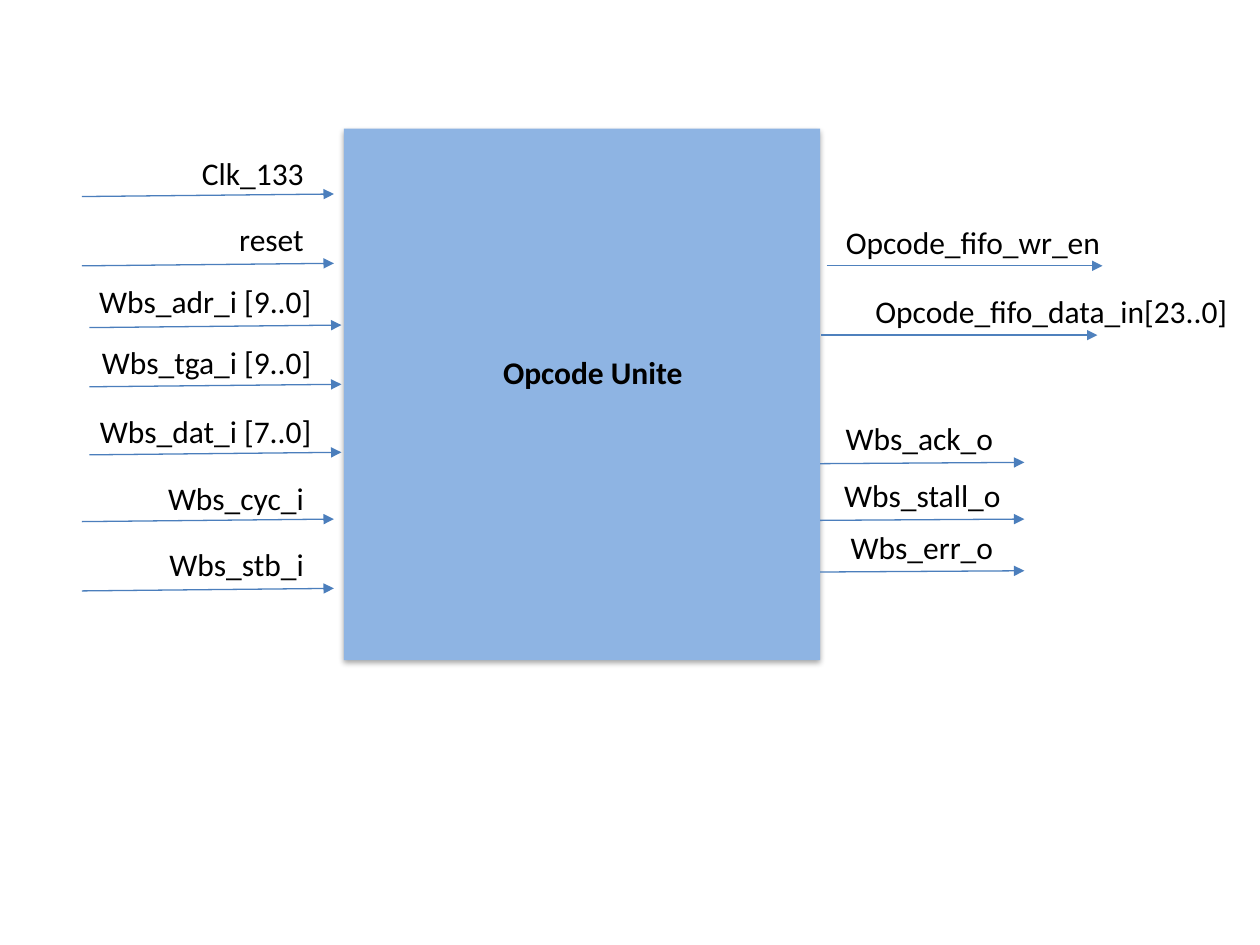
from dataclasses import dataclass

from lxml.etree import SubElement
from pptx import Presentation
from pptx.dml.color import RGBColor
from pptx.enum.shapes import MSO_CONNECTOR as Connector, MSO_SHAPE as Shape
from pptx.enum.text import MSO_AUTO_SIZE as AutoSize, PP_ALIGN as Align
from pptx.oxml.ns import qn
from pptx.util import Inches, Pt


@dataclass(frozen=True)
class Theme:
    """Colours, font and sizes of the diagram."""
    block: str = "8EB4E3"
    input_line: str = "4B7EBC"
    fifo_line: str = "4F81BD"
    text: str = "000000"
    font: str = "Calibri"
    size: float = 18
    line_width: float = 0.75


class Diagram:
    """Draws the elements of a block diagram on one slide."""

    def __init__(self, slide, theme):
        """Keep the theme and open a group for the diagram."""
        self.theme = theme
        self.shapes = slide.shapes.add_group_shape().shapes

    def block(self, left, top, width, height):
        """Add a filled rectangle with a soft shadow below it."""
        shape = self.shapes.add_shape(Shape.RECTANGLE, *map(Inches, (left, top, width, height)))
        shape.fill.solid()
        shape.fill.fore_color.rgb = RGBColor.from_string(self.theme.block)
        shape.line.fill.background()
        effects = SubElement(shape._element.spPr, qn("a:effectLst"))
        shadow = SubElement(effects, qn("a:outerShdw"), blurRad=str(Pt(3.1)),
                            dist=str(Pt(1.8)), dir="5400000", rotWithShape="0")
        color = SubElement(shadow, qn("a:srgbClr"), val="000000")
        SubElement(color, qn("a:alpha"), val="35000")

    def label(self, text, left, top, width, align=Align.RIGHT, bold=False):
        """Add one line of text."""
        box = self.shapes.add_textbox(*map(Inches, (left, top, width, 0.4)))
        frame = box.text_frame
        frame.word_wrap = True
        frame.auto_size = AutoSize.SHAPE_TO_FIT_TEXT
        paragraph = frame.paragraphs[0]
        paragraph.alignment = align
        run = paragraph.add_run()
        run.text = text
        font_format = {"name": self.theme.font, "size": Pt(self.theme.size), "bold": bold}
        for name, value in font_format.items():
            setattr(run.font, name, value)
        run.font.color.rgb = RGBColor.from_string(self.theme.text)

    def arrow(self, left, top, length, rise, color):
        """Add an arrow to the right that rises a little."""
        ends = map(Inches, (left, top, left + length, top - rise))
        connector = self.shapes.add_connector(Connector.STRAIGHT, *ends)
        connector.line.width = Pt(self.theme.line_width)
        connector.line.color.rgb = RGBColor.from_string(color)
        SubElement(connector.line._get_or_add_ln(), qn("a:tailEnd"), type="triangle")
        SubElement(connector._element.spPr, qn("a:effectLst"))


def main():
    """Build the slide and save it."""
    presentation = Presentation()
    presentation.slide_width, presentation.slide_height = Inches(10), Inches(7.5)
    slide = presentation.slides.add_slide(presentation.slide_layouts[6])
    theme = Theme()
    diagram = Diagram(slide, theme)

    diagram.block(2.73, 1.02, 3.78, 4.22)
    diagram.label("Opcode Unite", 3.37, 2.75, 2.67, Align.CENTER, bold=True)

    # Inputs: text, label left, label top, arrow top
    inputs = [
        ("Clk_133", 0.31, 1.17, 1.56),
        ("reset", 0.31, 1.7, 2.11),
        ("Wbs_adr_i [9..0]", 0.37, 2.19, 2.6),
        ("Wbs_tga_i [9..0]", 0.37, 2.67, 3.07),
        ("Wbs_dat_i [7..0]", 0.37, 3.22, 3.61),
        ("Wbs_cyc_i", 0.31, 3.75, 4.14),
        ("Wbs_stb_i", 0.31, 4.28, 4.69),
    ]
    for text, left, label_top, arrow_top in inputs:
        diagram.label(text, left, label_top, 2.2)
        diagram.arrow(left + 0.34, arrow_top, 2, 0.02, theme.input_line)

    # Bus outputs: text, label left, label top, label width, arrow top
    bus_outputs = [
        ("Wbs_ack_o", 6.56, 3.28, 1.42, 3.68),
        ("Wbs_stall_o", 6.48, 3.73, 1.56, 4.13),
        ("Wbs_err_o", 6.56, 4.14, 1.42, 4.54),
    ]
    for text, left, label_top, width, arrow_top in bus_outputs:
        diagram.label(text, left, label_top, width)
        diagram.arrow(6.51, arrow_top, 1.62, 0.01, theme.input_line)

    # FIFO outputs: text, label left, label top, label width, arrow left, arrow top
    fifo_outputs = [
        ("Opcode_fifo_wr_en", 6.23, 1.72, 2.6, 6.56, 2.11),
        ("Opcode_fifo_data_in[23..0]", 6.64, 2.27, 3.2, 6.52, 2.66),
    ]
    for text, left, label_top, width, arrow_left, arrow_top in fifo_outputs:
        diagram.label(text, left, label_top, width)
        diagram.arrow(arrow_left, arrow_top, 2.19, 0, theme.fifo_line)

    presentation.save("out.pptx")


main()
